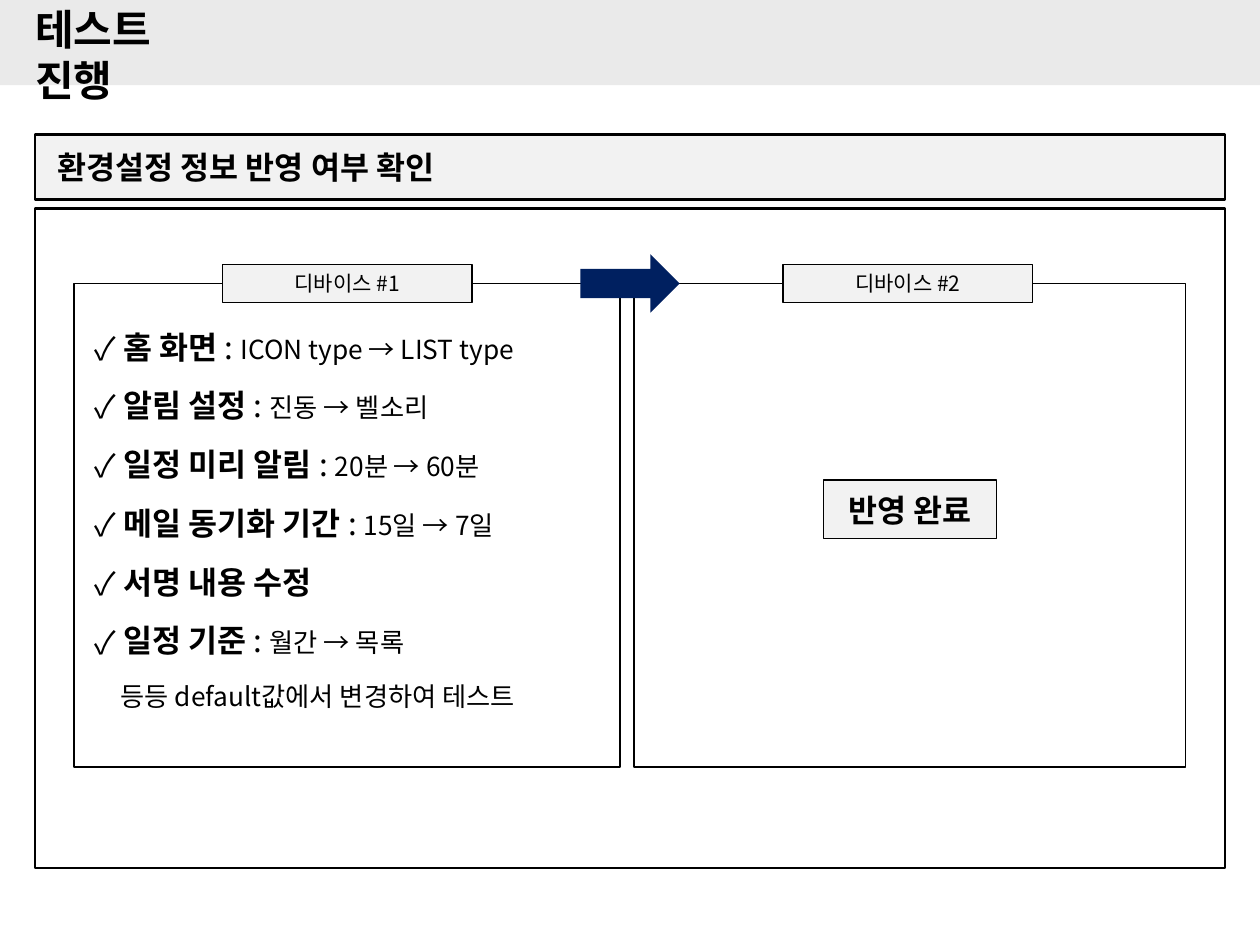
"""Builds the slide on checking that settings carry over to a second device."""
from lxml import etree
from pptx import Presentation
from pptx import util as u
from pptx.dml.color import RGBColor
from pptx.enum import shapes, text
from pptx.oxml import ns

BLACK = RGBColor(0, 0, 0)
WHITE = RGBColor(255, 255, 255)
PALE = RGBColor(0xF2, 0xF2, 0xF2)
BAND = RGBColor(0xEA, 0xEA, 0xEA)
NAVY = RGBColor(0, 0x20, 0x60)
RECT = shapes.MSO_SHAPE.RECTANGLE
ARROW = shapes.MSO_SHAPE.RIGHT_ARROW
LEFT, MID = text.PP_ALIGN.LEFT, text.PP_ALIGN.CENTER

ITEMS = [
    ("홈 화면 ", ": ", "ICON type → LIST type"),
    ("알림 설정", " : ", "진동 → 벨소리"),
    ("일정 미리 알림 ", ": ", "20분 → 60분"),
    ("메일 동기화 기간 ", ": ", "15일 → 7일"),
    ("서명 내용 수정", "", ""),
    ("일정 기준 ", ": ", "월간 → 목록"),
]


class Deck:
    font = "Noto Sans CJK KR"

    def __init__(self, wide, high):
        self.prs = Presentation()
        self.prs.slide_width, self.prs.slide_height = u.Pt(wide), u.Pt(high)
        self.slide = self.prs.slides.add_slide(self.prs.slide_layouts[5])

    def frame(self, shape, pad=(7.2, 3.6), top=False):
        body = shape.text_frame
        body.word_wrap = True
        body.auto_size = text.MSO_AUTO_SIZE.NONE
        body.vertical_anchor = text.MSO_ANCHOR.TOP if top else text.MSO_ANCHOR.MIDDLE
        body.margin_left = body.margin_right = u.Pt(pad[0])
        body.margin_top = body.margin_bottom = u.Pt(pad[1])
        return body

    def run(self, para, words, size, bold=False):
        run = para.add_run()
        run.text = words
        font = run.font
        font.name, font.size, font.bold = self.font, u.Pt(size), bold
        font.color.rgb = BLACK
        east = etree.SubElement(run._r.get_or_add_rPr(), ns.qn("a:ea"))
        east.set("typeface", self.font)

    def title(self, box, words, size):
        head = self.slide.shapes.title
        self.slide.shapes._spTree.append(head._element)
        head.left, head.top, head.width, head.height = map(u.Pt, box)
        para = self.frame(head, (0, 0)).paragraphs[0]
        para.alignment, para.line_spacing = LEFT, 1.0
        self.run(para, words, size, True)

    def shape(self, box, fill, line=0, kind=RECT):
        item = self.slide.shapes.add_shape(kind, *map(u.Pt, box))
        item.shadow.inherit = False
        item.fill.solid()
        item.fill.fore_color.rgb = fill
        if line:
            item.line.color.rgb = BLACK
            item.line.width = u.Pt(line)
        else:
            item.line.fill.background()
        return item

    def label(self, box, words, size, line=0.75, bold=False, align=MID, pad=7.2):
        item = self.shape(box, PALE, line)
        para = self.frame(item, (pad, 3.6)).paragraphs[0]
        para.alignment = align
        self.run(para, words, size, bold)

    def row(self, para, inset, tick=False, gap=0):
        para.alignment, para.space_before = LEFT, u.Pt(gap)
        props = para._p.get_or_add_pPr()
        props.set("marL", str(u.Pt(inset)))
        if tick:
            props.set("indent", str(-u.Pt(inset)))
            etree.SubElement(props, ns.qn("a:buFont")).set("typeface", self.font)
            etree.SubElement(props, ns.qn("a:buChar")).set("char", "✓")

    def checks(self, item, rows, tail):
        body = self.frame(item, (11.9, 25.2), top=True)
        for i, (name, colon, change) in enumerate(rows):
            para = body.add_paragraph() if i else body.paragraphs[0]
            self.row(para, 16.5, tick=True, gap=12 if i else 0)
            self.run(para, name, 18, True)
            if change:
                self.run(para, colon, 18)
                self.run(para, change, 15)
        para = body.add_paragraph()
        self.row(para, 14.8, gap=12)
        self.run(para, tail, 15)


def main():
    deck = Deck(720, 540)
    deck.shape((0, 0, 720, 48.6), BAND)
    deck.shape((20, 119, 680, 377), WHITE, 1.5)
    deck.label((20, 77, 680, 37), "환경설정 정보 반영 여부 확인", 18, 1.5, True, LEFT, 13)
    deck.title((20, 16.5, 113, 29), "테스트 진행", 24)
    deck.shape((362.2, 162, 315.3, 276.5), WHITE, 1)
    left = deck.shape((42.3, 162, 312, 276.5), WHITE, 1)
    deck.checks(left, ITEMS, "등등 default값에서 변경하여 테스트")
    for i in range(2):
        deck.label((127.2 + 320.3 * i, 151, 142.6, 22), f"디바이스 #{i + 1}", 12)
    deck.shape((331.7, 145.3, 56.6, 33.4), NAVY, kind=ARROW)
    deck.label((470.6, 274.4, 98.7, 33.5), "반영 완료", 18, bold=True)
    deck.prs.save("out.pptx")


if __name__ == "__main__":
    main()
